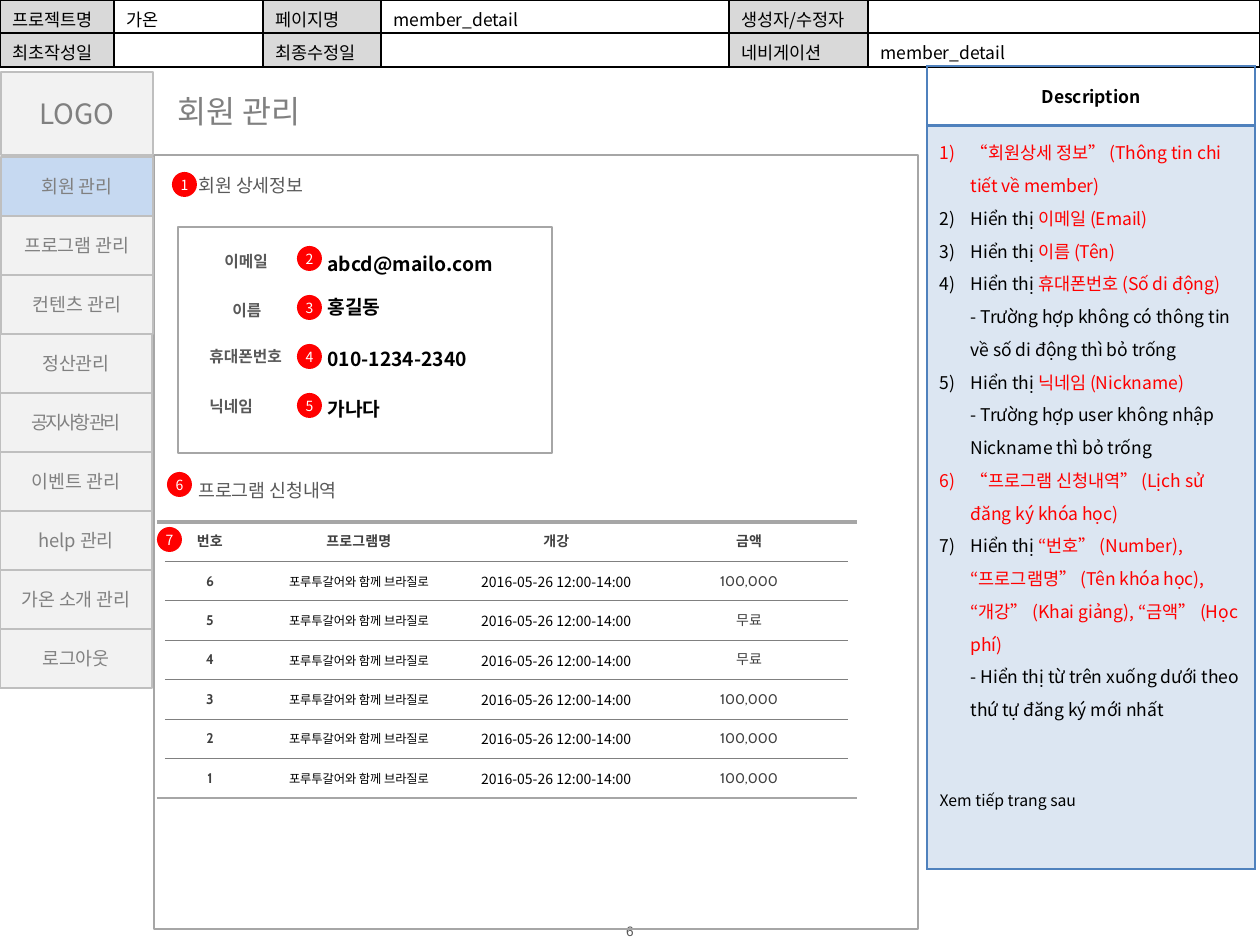
"""Build the member detail wireframe slide with its description panel."""
from lxml import etree
from pptx import Presentation
from pptx.dml.color import RGBColor
from pptx.enum.shapes import MSO_CONNECTOR, MSO_SHAPE
from pptx.enum.text import MSO_ANCHOR, MSO_AUTO_SIZE, PP_ALIGN
from pptx.oxml.ns import qn
from pptx.util import Emu, Pt

LEFT, CENTER = PP_ALIGN.LEFT, PP_ALIGN.CENTER
TOP, MIDDLE = MSO_ANCHOR.TOP, MSO_ANCHOR.MIDDLE
RECT, OVAL, STRAIGHT = MSO_SHAPE.RECTANGLE, MSO_SHAPE.OVAL, MSO_CONNECTOR.STRAIGHT
NOTO, CABIN, ARIAL = "Noto Sans CJK KR", "Cabin", "Arial"
NO_STYLE = "{2D5ABB26-0587-4C30-8999-92F81FD0307C}"
C = {"black": "000000", "white": "FFFFFF", "red": "FF0000", "blue": "4F81BD",
     "panel": "DCE6F2", "active": "C6D9F1", "menu": "F2F2F2", "label": "D9D9D9",
     "edge": "BFBFBF", "frame": "A6A6A6", "grey": "808080", "dark": "595959",
     "cell": "404040"}

PAGE_INFO = [
    ["프로젝트명", "가온", "페이지명", "member_detail", "생성자/수정자", ""],
    ["최초작성일", "", "최종수정일", "", "네비게이션", "member_detail"],
]
PAGE_INFO_COLS = [114, 149, 118, 348, 139, 392]
MENU = ["회원 관리", "프로그램 관리", "컨텐츠 관리", "정산관리", "공지사항 관리",
        "이벤트 관리", "help 관리", "가온 소개 관리", "로그아웃"]
TIGHT_MENU = "공지사항 관리"
SECTIONS = [("회원 상세정보", 168), ("프로그램 신청내역", 473)]
MEMBER = [
    ("이메일", (212, 246), "abcd@mailo.com", 246),
    ("이름", (220, 295), "홍길동", 289),
    ("휴대폰번호", (197, 341), "010-1234-2340", 341),
    ("닉네임", (197, 391), "가나다", 391),
]
BADGES = [(172, 172)] + [(297, 246 + 49 * i) for i in range(4)] + [(167, 472), (157, 527)]
PROGRAM, SCHEDULE = "포루투갈어와 함께 브라질로", "2016-05-26 12:00-14:00"
PRICES = ["100,000", "무료", "무료", "100,000", "100,000", "100,000"]
PROGRAM_HEAD = ["번호", "프로그램명", "개강", "", "금액", ""]
PROGRAM_COLS = [90, 208, 187, 29, 138, 29]
PROGRAM_HEIGHT = 276
SHOW = ("Hiển thị ", "black")
DESCRIPTION = [
    [("“회원상세 정보” (Thông tin chi tiết về member)", "red")],
    [SHOW, ("이메일 (Email)", "red")],
    [SHOW, ("이름 (Tên)", "red")],
    [SHOW, ("휴대폰번호 (Số di động)", "red"),
     ("\n- Trường hợp không có thông tin về số di động thì bỏ trống", "black")],
    [SHOW, ("닉네임 (Nickname)", "red"),
     ("\n- Trường hợp user không nhập Nickname thì bỏ trống", "black")],
    [("“프로그램 신청내역” (Lịch sử đăng ký khóa học)", "red")],
    [SHOW, ("“번호” (Number), “프로그램명” (Tên khóa học), “개강” (Khai giảng), “금액” (Học phí)", "red"),
     ("\n- Hiển thị từ trên xuống dưới theo thứ tự đăng ký mới nhất", "black")],
]
CONTINUED = "Xem tiếp trang sau"


def px(n):
    return Emu(round(n * 914400 / 126))


def rgb(name):
    return RGBColor.from_string(C[name])


def add_run(paragraph, text, size, color, bold=False, font=NOTO):
    if text.startswith("\n"):
        paragraph.add_line_break()
    run = paragraph.add_run()
    run.text = text.lstrip("\n")
    run.font.size, run.font.bold, run.font.name = Pt(size), bold, font
    run.font.color.rgb = rgb(color)
    etree.SubElement(run._r.get_or_add_rPr(), qn("a:ea")).set("typeface", font)
    return run


def write(frame, text, size, color, bold=False, font=NOTO, align=LEFT):
    paragraph = frame.paragraphs[0]
    paragraph.alignment = align
    if text:
        return add_run(paragraph, text, size, color, bold, font)
    etree.SubElement(paragraph._p, qn("a:endParaRPr")).set("sz", str(size * 100))


def add_text(slide, box, text, size, color, **style):
    frame = slide.shapes.add_textbox(*map(px, box)).text_frame
    frame.word_wrap = True
    write(frame, text, size, color, **style)
    return frame


def clear_margins(frame):
    frame.margin_left = frame.margin_right = frame.margin_top = frame.margin_bottom = 0
    frame.vertical_anchor = MIDDLE


def add_box(slide, kind, box, fill=None, line=None, width=1):
    shape = slide.shapes.add_shape(kind, *map(px, box))
    shape.shadow.inherit = False
    if fill:
        shape.fill.solid()
        shape.fill.fore_color.rgb = rgb(fill)
    else:
        shape.fill.background()
    if line:
        shape.line.color.rgb = rgb(line)
        shape.line.width = Pt(width)
    else:
        shape.line.fill.background()
    shape.text_frame.vertical_anchor = MIDDLE
    return shape


def add_table(slide, left, top, cols, rows):
    table = slide.shapes.add_table(len(rows), len(cols), px(left), px(top),
                                   px(sum(cols)), px(sum(rows))).table
    table.first_row = table.horz_banding = False
    table._tbl.tblPr.find(qn("a:tableStyleId")).text = NO_STYLE
    for column, width in zip(table.columns, cols):
        column.width = px(width)
    for row, height in zip(table.rows, rows):
        row.height = px(height)
    return table


def style_cell(cell, fill, color, **widths):
    props = cell._tc.get_or_add_tcPr()
    for side in ("L", "R", "T", "B"):
        if side in widths:
            edge = etree.SubElement(props, qn("a:ln" + side), w=str(Pt(widths[side])))
            solid = etree.SubElement(edge, qn("a:solidFill"))
            etree.SubElement(solid, qn("a:srgbClr"), val=C[color])
    if fill:
        cell.fill.solid()
        cell.fill.fore_color.rgb = rgb(fill)
    else:
        cell.fill.background()


def add_page_info(slide):
    table = add_table(slide, 0, 0, PAGE_INFO_COLS, [33, 34])
    for r, texts in enumerate(PAGE_INFO):
        for c, text in enumerate(texts):
            cell = table.cell(r, c)
            style_cell(cell, None if c % 2 else "label", "black", L=1, R=1, T=1, B=1)
            cell.margin_bottom = 0
            write(cell.text_frame, text, 10, "black")


def add_description(slide):
    table = add_table(slide, 927, 66, [328], [60, 743])
    heading, body = table.cell(0, 0), table.cell(1, 0)
    style_cell(heading, None, "blue", L=1, R=1, T=1, B=2)
    heading.vertical_anchor = MIDDLE
    write(heading.text_frame, "Description", 10, "black", bold=True, align=CENTER)
    style_cell(body, "panel", "blue", L=1, R=1, T=2, B=1)
    frame = body.text_frame
    for i, runs in enumerate(DESCRIPTION):
        paragraph = frame.add_paragraph() if i else frame.paragraphs[0]
        paragraph.line_spacing = 1.3
        props = paragraph._p.get_or_add_pPr()
        props.set("marL", str(px(31)))
        props.set("indent", str(-px(31)))
        etree.SubElement(props, qn("a:buFont"), typeface=NOTO)
        etree.SubElement(props, qn("a:buAutoNum"), type="arabicParenR")
        for text, color in runs:
            add_run(paragraph, text, 10, color)
    closing = frame.add_paragraph()
    closing.line_spacing, closing.space_before = 1.3, Pt(34)
    add_run(closing, CONTINUED, 9, "black")


def add_programs(slide):
    rows = [PROGRAM_HEAD] + [[str(len(PRICES) - i), PROGRAM, SCHEDULE, "", price, ""]
                             for i, price in enumerate(PRICES)]
    table = add_table(slide, 165, 522, PROGRAM_COLS, [PROGRAM_HEIGHT / len(rows)] * len(rows))
    styles = [(8, "cell", True, CABIN), (7, "black", False, NOTO), (8, "black", False, NOTO),
              (8, "cell", False, CABIN), (8, "cell", False, CABIN), (8, "cell", False, CABIN)]
    for r, texts in enumerate(rows):
        for c, text in enumerate(texts):
            cell = table.cell(r, c)
            style_cell(cell, None, "grey", T=0.5, B=0.5)
            cell.margin_top = cell.margin_bottom = px(8)
            cell.vertical_anchor = MIDDLE
            write(cell.text_frame, text, *(styles[c] if r else styles[0]), align=CENTER)
    for y, width in ((522, 2.25), (522 + PROGRAM_HEIGHT, 1.5)):
        rule = slide.shapes.add_connector(STRAIGHT, px(157), px(y), px(857), px(y))
        rule.line.color.rgb, rule.line.width = rgb("frame"), Pt(width)
        etree.SubElement(rule._element.spPr, qn("a:effectLst"))


def add_menu(slide):
    logo = add_box(slide, RECT, (1, 72, 152, 83), "menu", "edge")
    write(logo.text_frame, "LOGO", 16, "grey", align=CENTER)
    for i, text in enumerate(MENU):
        item = add_box(slide, RECT, (1 if i < 3 else 0, 157 + 59 * i, 152, 59),
                       "menu" if i else "active", "edge")
        run = write(item.text_frame, text, 10.5, "grey", align=CENTER)
        if text == TIGHT_MENU:
            run._r.get_or_add_rPr().set("spc", "-150")


def main():
    prs = Presentation()
    prs.slide_width, prs.slide_height = px(1260), px(945)
    slide = prs.slides.add_slide(prs.slide_layouts[5])
    title = slide.shapes.title
    title.left, title.top, title.width, title.height = map(px, (165, 86, 164, 50))
    title.text_frame.auto_size = MSO_AUTO_SIZE.NONE
    title.text_frame.word_wrap = False
    title.text_frame.vertical_anchor = TOP
    write(title.text_frame, "회원 관리", 18, "grey")

    clear_margins(add_text(slide, (576, 922, 108, 18), "6", 7.8, "dark", font=ARIAL, align=CENTER))
    add_page_info(slide)
    add_description(slide)
    add_box(slide, RECT, (154, 155, 764, 774), None, "frame", 0.75)
    add_menu(slide)
    add_box(slide, RECT, (178, 227, 374, 226), None, "frame", 0.75)
    for text, top in SECTIONS:
        add_text(slide, (186, top, 186, 35), text, 10.5, "dark")
    for label, (left, top), value, value_top in MEMBER:
        add_text(slide, (left, top, 108, 32), label, 9, "dark", bold=True)
        add_text(slide, (315, value_top, 227, 37), value, 11, "black", bold=True)
    add_programs(slide)
    for number, (left, top) in enumerate(BADGES, 1):
        badge = add_box(slide, OVAL, (left, top, 25, 25), "red")
        clear_margins(badge.text_frame)
        write(badge.text_frame, str(number), 8, "white", align=CENTER)
    prs.save("out.pptx")


if __name__ == "__main__":
    main()
